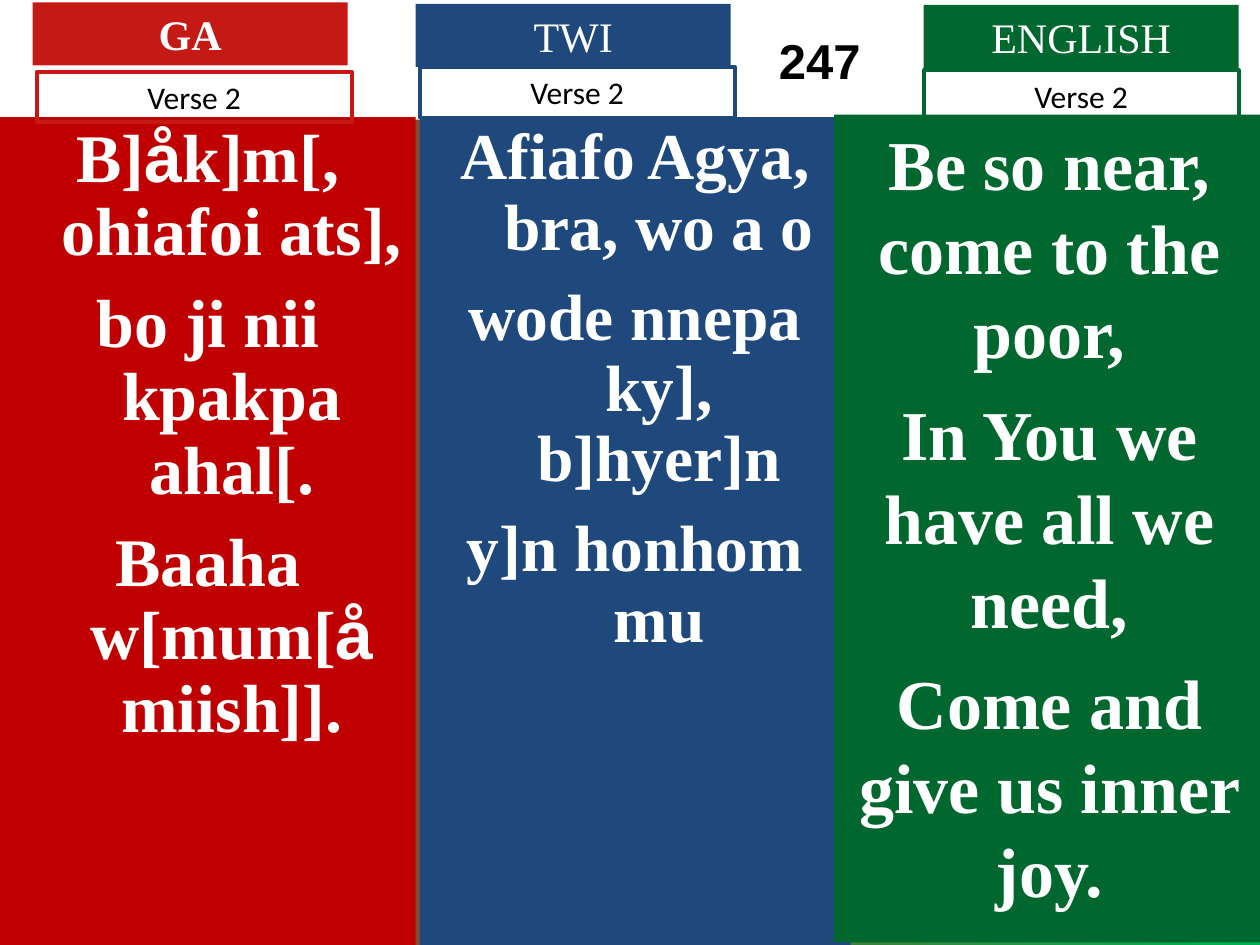
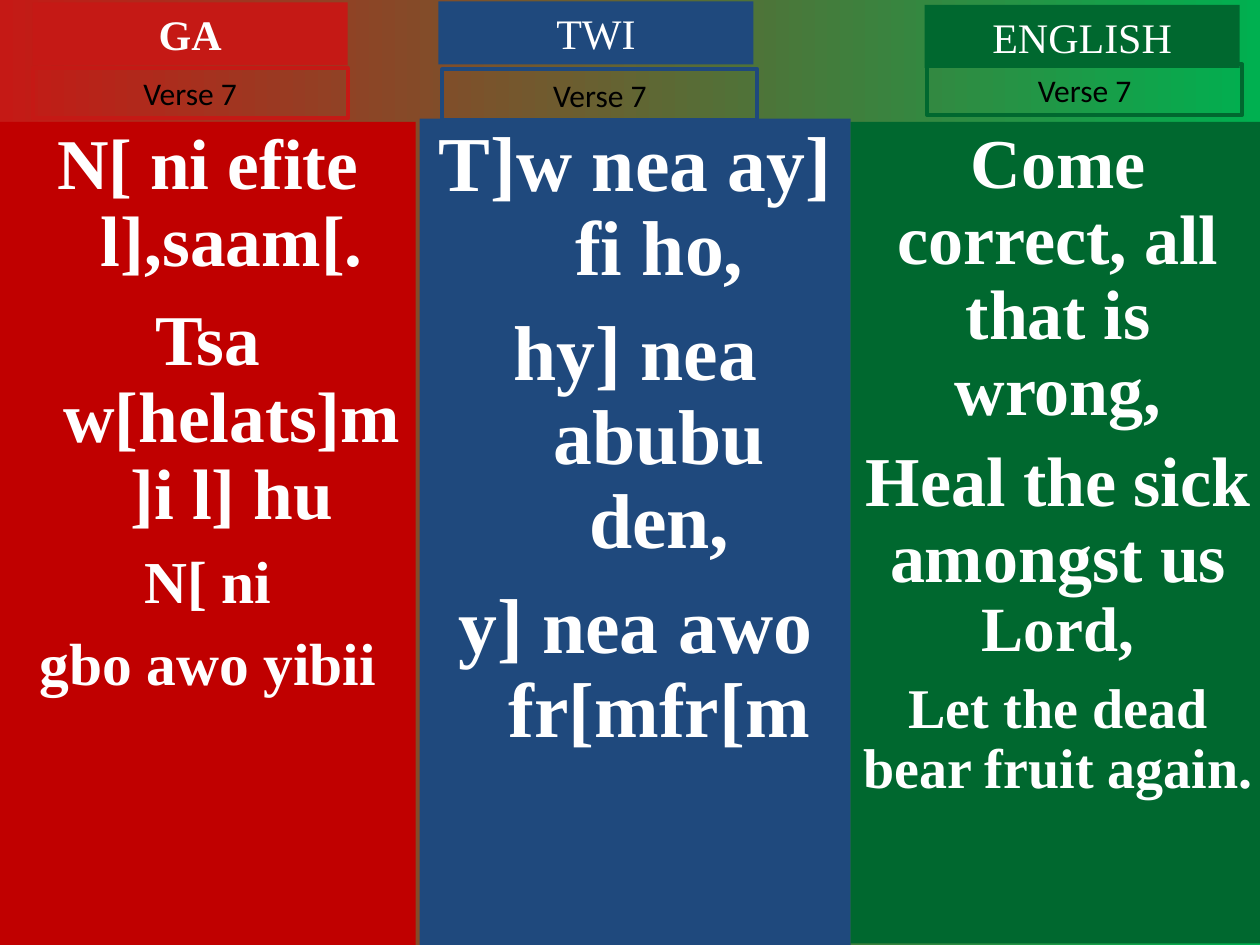
from dataclasses import dataclass

from pptx import Presentation
from pptx.dml.color import RGBColor
from pptx.enum.shapes import MSO_SHAPE
from pptx.enum.text import MSO_ANCHOR, PP_ALIGN
from pptx.util import Cm, Pt

RECTANGLE = MSO_SHAPE.RECTANGLE
CENTER = PP_ALIGN.CENTER
TOP, MIDDLE = MSO_ANCHOR.TOP, MSO_ANCHOR.MIDDLE

COLORS = {
    "ga": "C00000",
    "ga_tag": "C51915",
    "twi": "1F497D",
    "english": "00682F",
    "sky_end": "00B050",
    "white": "FFFFFF",
    "black": "000000",
}
SERIF, SANS, LABEL = "Times New Roman", "Arial", "Calibri"

SLIDE_WIDTH, SLIDE_HEIGHT = 25.4, 19.05
TAG_WIDTH, TAG_HEIGHT, VERSE_HEIGHT = 6.35, 1.27, 1.02
HANGING = 0.97


@dataclass
class Language:
    name: str
    color: str
    tag_color: str
    bold_tag: bool = False
    hanging: bool = False


GA = Language("GA", "ga", "ga_tag", bold_tag=True, hanging=True)
TWI = Language("TWI", "twi", "twi", hanging=True)
ENGLISH = Language("ENGLISH", "english", "english")


@dataclass
class Column:
    """One language's verse: places in cm, lines as (space before, runs)."""
    language: Language
    panel: tuple
    tag: tuple
    verse: tuple
    lines: list
    spacing: float = 0.9


def rgb(name):
    return RGBColor.from_string(COLORS[name])


def add_run(paragraph, text, size, color, font=SERIF, bold=False):
    run = paragraph.add_run()
    run.text = text
    run.font.size = Pt(size)
    run.font.name = font
    run.font.bold = bold
    run.font.color.rgb = rgb(color)


def add_box(slide, left, top, width, height, fill=None, line=None, anchor=TOP):
    box = slide.shapes.add_shape(RECTANGLE, Cm(left), Cm(top), Cm(width), Cm(height))
    box.shadow.inherit = False
    if fill:
        box.fill.solid()
        box.fill.fore_color.rgb = rgb(fill)
    else:
        box.fill.background()
    if line:
        box.line.color.rgb = rgb(line)
        box.line.width = Pt(2.25)
    else:
        box.line.fill.background()
    frame = box.text_frame
    frame.word_wrap = True
    frame.vertical_anchor = anchor
    frame.paragraphs[0].alignment = CENTER
    return frame


def add_panel(slide, column):
    language = column.language
    frame = add_box(slide, *column.panel, fill=language.color)
    for index, (space_before, runs) in enumerate(column.lines):
        paragraph = frame.add_paragraph() if index else frame.paragraphs[0]
        paragraph.alignment = CENTER
        paragraph.line_spacing = column.spacing
        if index:
            paragraph.space_before = Pt(space_before)
        if language.hanging:
            properties = paragraph._p.get_or_add_pPr()
            properties.set("marL", str(Cm(HANGING)))
            properties.set("indent", str(-Cm(HANGING)))
        for text, size, *font in runs:
            add_run(paragraph, text, size, "white", *font, bold=True)


def add_heading(slide, column, verse_label):
    language = column.language
    tag = add_box(slide, *column.tag, TAG_WIDTH, TAG_HEIGHT, fill=language.tag_color)
    add_run(tag.paragraphs[0], language.name, 24, "white", bold=language.bold_tag)
    verse = add_box(slide, *column.verse, TAG_WIDTH, VERSE_HEIGHT, line=language.tag_color)
    add_run(verse.paragraphs[0], verse_label, 18, "black", LABEL)


def set_background(slide):
    fill = slide.background.fill
    fill.gradient()
    fill.gradient_angle = 0
    for stop, position, color in zip(fill.gradient_stops, (0, 1), ("ga_tag", "sky_end")):
        stop.position = position
        stop.color.rgb = rgb(color)


def set_hymn_number(slide, number):
    title = slide.shapes.title
    title.left, title.top = Cm(0), Cm(0)
    title.width, title.height = Cm(SLIDE_WIDTH), Cm(2.41)
    title.fill.solid()
    title.fill.fore_color.rgb = rgb("white")
    frame = title.text_frame
    frame.vertical_anchor = MIDDLE
    frame.margin_left = Cm(7.9)  # centres the number between TWI and ENGLISH
    paragraph = frame.paragraphs[0]
    paragraph.alignment = CENTER
    add_run(paragraph, number, 28, "black", SANS, bold=True)


def add_verse_slide(prs, verse_label, columns, hymn_number=None):
    slide = prs.slides.add_slide(prs.slide_layouts[5 if hymn_number else 6])
    set_background(slide)
    if hymn_number:
        set_hymn_number(slide, hymn_number)
    for column in columns:
        add_panel(slide, column)
    for column in columns:
        add_heading(slide, column, verse_label)


VERSE_2 = [
    Column(GA, (0, 2.36, 8.38, 16.69), (0.66, 0.05), (0.74, 1.45), [
        (0, [("B]", 38.9), ("å", 38.9, SANS), ("k]m[, ohiafoi ats],", 38.9)]),
        (10.5, [("bo ji nii kpakpa ahal[.", 38.9)]),
        (10.5, [("Baaha w[mum[", 38.9), ("å", 38.9, SANS), (" miish]].", 38.9)]),
    ]),
    Column(TWI, (8.46, 2.36, 8.69, 16.69), (8.38, 0.08), (8.46, 1.35), [
        (0, [("Afiafo Agya, bra, wo a o", 37.4)]),
        (11, [("wode nnepa ky], b]hyer]n", 37.4)]),
        (11, [("y]n honhom mu", 37.4)]),
    ]),
    Column(ENGLISH, (16.81, 2.31, 8.69, 16.69), (18.62, 0.1), (18.62, 1.42), [
        (0, [("Be so near, come to the poor,", 40)]),
        (10, [("In You we have all we need,", 40)]),
        (10, [("Come and give us inner joy.", 40)]),
    ], spacing=1.0),
]

VERSE_7 = [
    Column(GA, (0, 2.46, 8.38, 16.59), (0.66, 0.05), (0.66, 1.37), [
        (0, [("N[ ni efite l],saam[.", 40.8)]),
        (12, [("Tsa w[helats]m]i l] hu", 40.8)]),
        (10, [("N[ ni", 34)]),
        (10, [("gbo awo yibii", 34)]),
    ]),
    Column(TWI, (8.46, 2.39, 8.69, 16.66), (8.84, 0.03), (8.92, 1.4), [
        (0, [("T]w nea ay] fi ho,", 44.4)]),
        (12, [("hy] nea abubu den,", 44.4)]),
        (12, [("y] nea awo fr[mfr[m", 44.4)]),
    ]),
    Column(ENGLISH, (17.15, 2.46, 8.36, 16.56), (18.64, 0.1), (18.69, 1.3), [
        (0, [("Come correct, all that is wrong,", 40)]),
        (9, [("Heal the sick amongst us ", 40), ("Lord,", 36)]),
        (8, [("Let the dead bear fruit again.", 32)]),
    ]),
]


def main():
    prs = Presentation()
    prs.slide_width, prs.slide_height = Cm(SLIDE_WIDTH), Cm(SLIDE_HEIGHT)
    add_verse_slide(prs, "Verse 2", VERSE_2, hymn_number="247")
    add_verse_slide(prs, "Verse 7", VERSE_7)
    prs.save("out.pptx")


if __name__ == "__main__":
    main()
